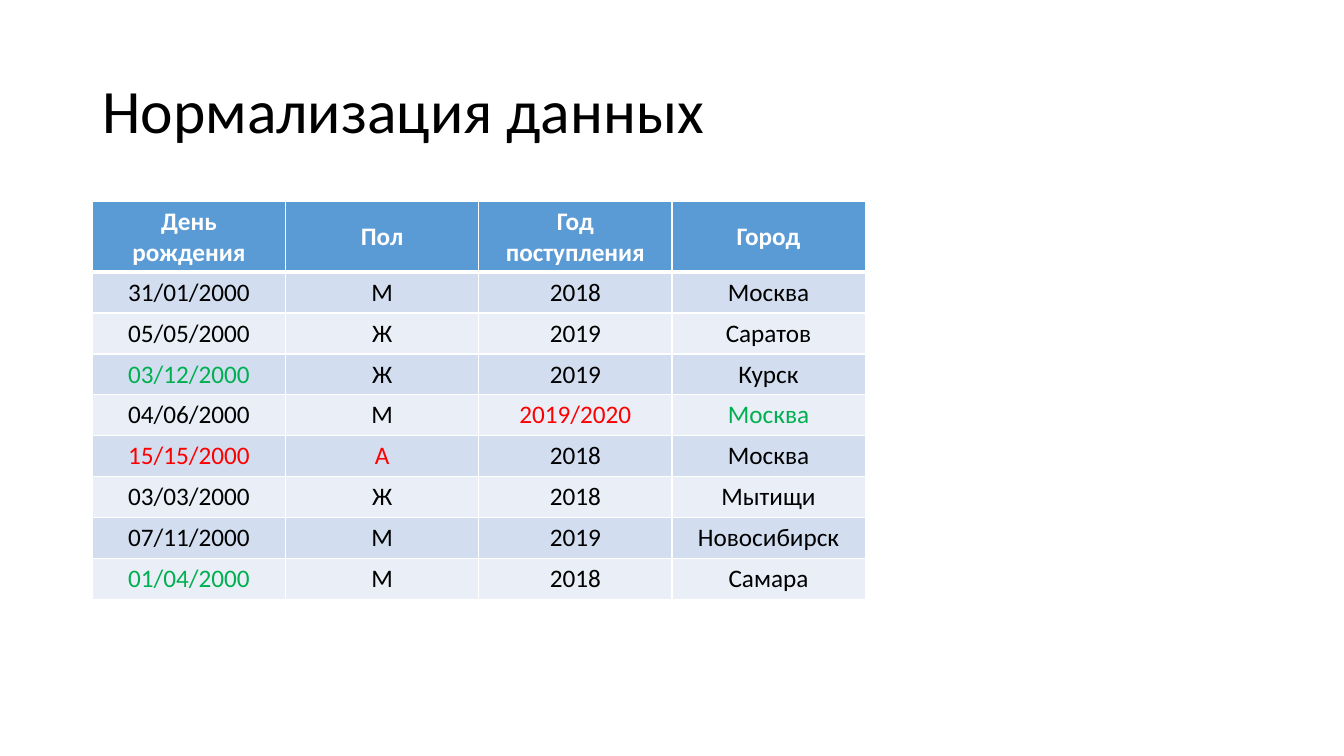
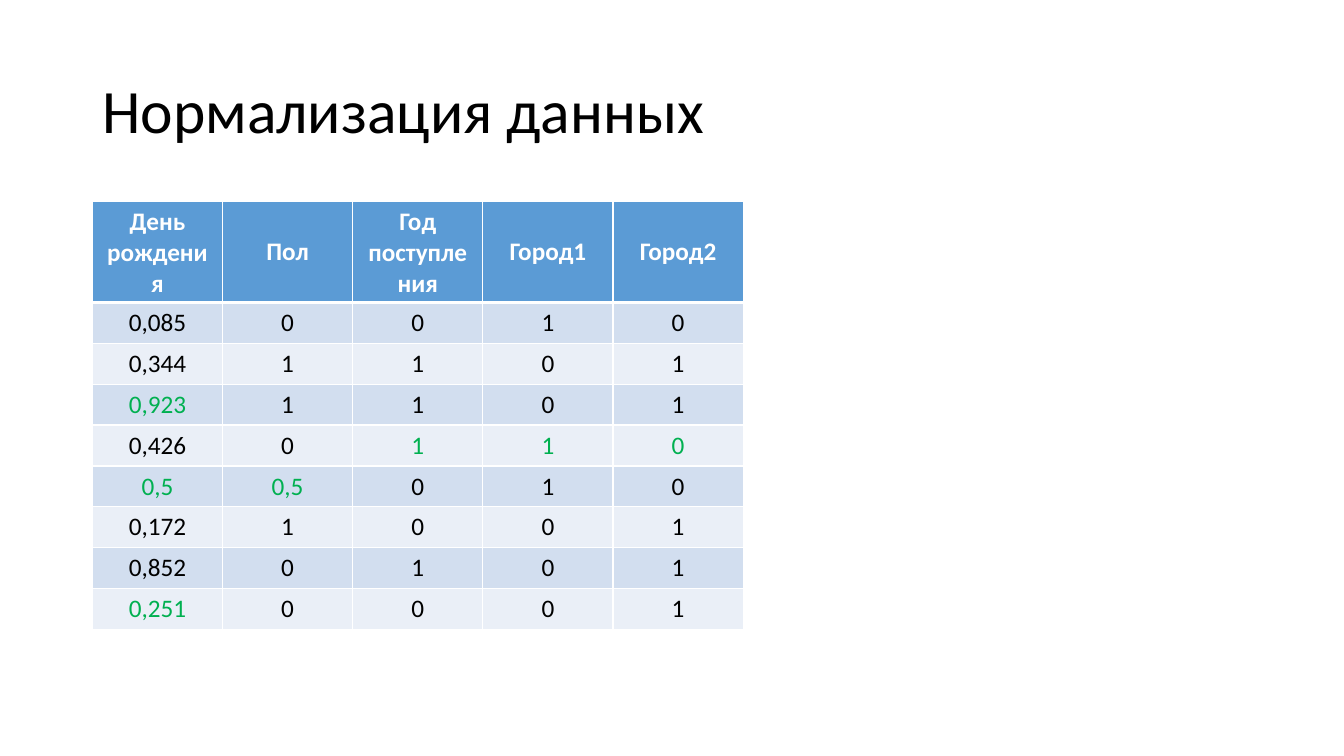
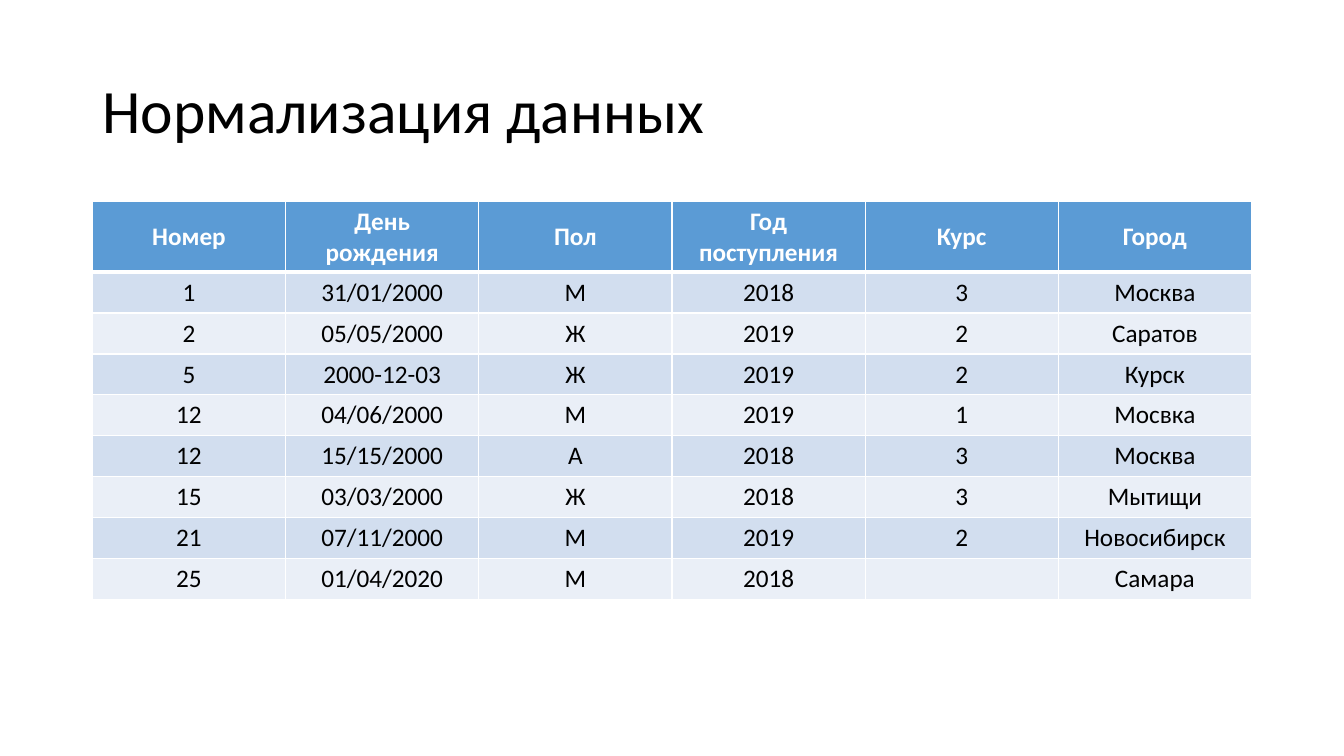
import pptx
import pptx.util
import pptx.dml.color
import pptx.enum.text
import pptx.oxml.ns
from lxml import etree

Pt = pptx.util.Pt

# Content: a cell is a text, or a (text, colour) pair when highlighted
TITLE = "Нормализация данных"


def fixed(text):
    return text, "fixed"


def wrong(text):
    return text, "wrong"


cleaned = [
    ("День рождения", "Пол", "Год поступления", "Город"),
    ("31/01/2000", "М", "2018", "Москва"),
    ("05/05/2000", "Ж", "2019", "Саратов"),
    (fixed("03/12/2000"), "Ж", "2019", "Курск"),
    ("04/06/2000", "М", wrong("2019/2020"), fixed("Москва")),
    (wrong("15/15/2000"), wrong("А"), "2018", "Москва"),
    ("03/03/2000", "Ж", "2018", "Мытищи"),
    ("07/11/2000", "М", "2019", "Новосибирск"),
    (fixed("01/04/2000"), "М", "2018", "Самара"),
]
normalized = [
    ("День рождения", "Пол", "Год поступления", "Город1", "Город2"),
    ("0,085", "0", "0", "1", "0"),
    ("0,344", "1", "1", "0", "1"),
    (fixed("0,923"), "1", "1", "0", "1"),
    ("0,426", "0", fixed("1"), fixed("1"), fixed("0")),
    (fixed("0,5"), fixed("0,5"), "0", "1", "0"),
    ("0,172", "1", "0", "0", "1"),
    ("0,852", "0", "1", "0", "1"),
    (fixed("0,251"), "0", "0", "0", "1"),
]
source_records = [
    ("Номер", "День рождения", "Пол", "Год поступления", "Курс", "Город"),
    ("1", "31/01/2000", "М", "2018", "3", "Москва"),
    ("2", "05/05/2000", "Ж", "2019", "2", "Саратов"),
    ("5", "2000-12-03", "Ж", "2019", "2", "Курск"),
    ("12", "04/06/2000", "М", "2019", "1", "Мосвка"),
    ("12", "15/15/2000", "А", "2018", "3", "Москва"),
    ("15", "03/03/2000", "Ж", "2018", "3", "Мытищи"),
    ("21", "07/11/2000", "М", "2019", "2", "Новосибирск"),
    ("25", "01/04/2020", "М", "2018", "", "Самара"),
]
# Records, column width, full table height with the wrapped header
SLIDES = [
    (cleaned, 138, 283.7),
    (normalized, 93, 305.3),
    (source_records, 138, 283.7),
]

# Shared style
COLORS = {
    "text": "000000", "header_text": "FFFFFF", "border": "FFFFFF",
    "header": "5B9BD5", "odd": "D2DEEF", "even": "EAEFF7",
    "fixed": "00B050", "wrong": "FF0000",
}
FONT = "Calibri"
LEFT = 66
TABLE_TOP = 144
ROW_HEIGHT = 29.2


def rgb(name):
    return pptx.dml.color.RGBColor.from_string(COLORS[name])


def format_runs(paragraph, size, color, bold=False):
    for run in paragraph.runs:
        run.font.name = FONT
        run.font.size = Pt(size)
        run.font.bold = bold
        run.font.color.rgb = rgb(color)


def add_border(cell, side, width):
    qn = pptx.oxml.ns.qn
    line = etree.SubElement(cell._tc.get_or_add_tcPr(), qn("a:ln" + side), w=str(Pt(width)))
    fill = etree.SubElement(line, qn("a:solidFill"))
    etree.SubElement(fill, qn("a:srgbClr"), val=COLORS["border"])


def add_title(slide):
    title = slide.shapes.add_textbox(Pt(LEFT), Pt(28.8), Pt(828), Pt(104.4))
    title.text_frame.word_wrap = True
    title.text_frame.vertical_anchor = pptx.enum.text.MSO_ANCHOR.MIDDLE
    heading = title.text_frame.paragraphs[0]
    heading.text = TITLE
    heading.line_spacing = 0.9
    format_runs(heading, 44, "text")


def fill_cell(cell, entry, row):
    is_header = row == 0
    text, color = entry if isinstance(entry, tuple) else (entry, "text")
    cell.vertical_anchor = pptx.enum.text.MSO_ANCHOR.MIDDLE

    # Borders come before the fill; the header has a heavier bottom line
    add_border(cell, "L", 1)
    add_border(cell, "R", 1)
    if is_header:
        add_border(cell, "T", 1)
    add_border(cell, "B", 3 if is_header else 1)
    cell.fill.solid()
    cell.fill.fore_color.rgb = rgb("header" if is_header else "odd" if row % 2 else "even")

    label = cell.text_frame.paragraphs[0]
    label.text = text
    label.alignment = pptx.enum.text.PP_ALIGN.CENTER
    format_runs(label, 18, "header_text" if is_header else color, is_header)


def add_records(slide, records, column_width, height):
    columns = len(records[0])
    frame = slide.shapes.add_table(len(records), columns, Pt(LEFT), Pt(TABLE_TOP),
                                   Pt(column_width * columns), Pt(height))
    for row, entries in enumerate(records):
        frame.table.rows[row].height = Pt(ROW_HEIGHT)
        for column, entry in enumerate(entries):
            fill_cell(frame.table.cell(row, column), entry, row)
    frame.height = Pt(height)


# Build the slides
deck = pptx.Presentation()
deck.slide_width, deck.slide_height = Pt(960), Pt(540)
for records, column_width, height in SLIDES:
    slide = deck.slides.add_slide(deck.slide_layouts[6])
    add_title(slide)
    add_records(slide, records, column_width, height)
deck.save("out.pptx")
